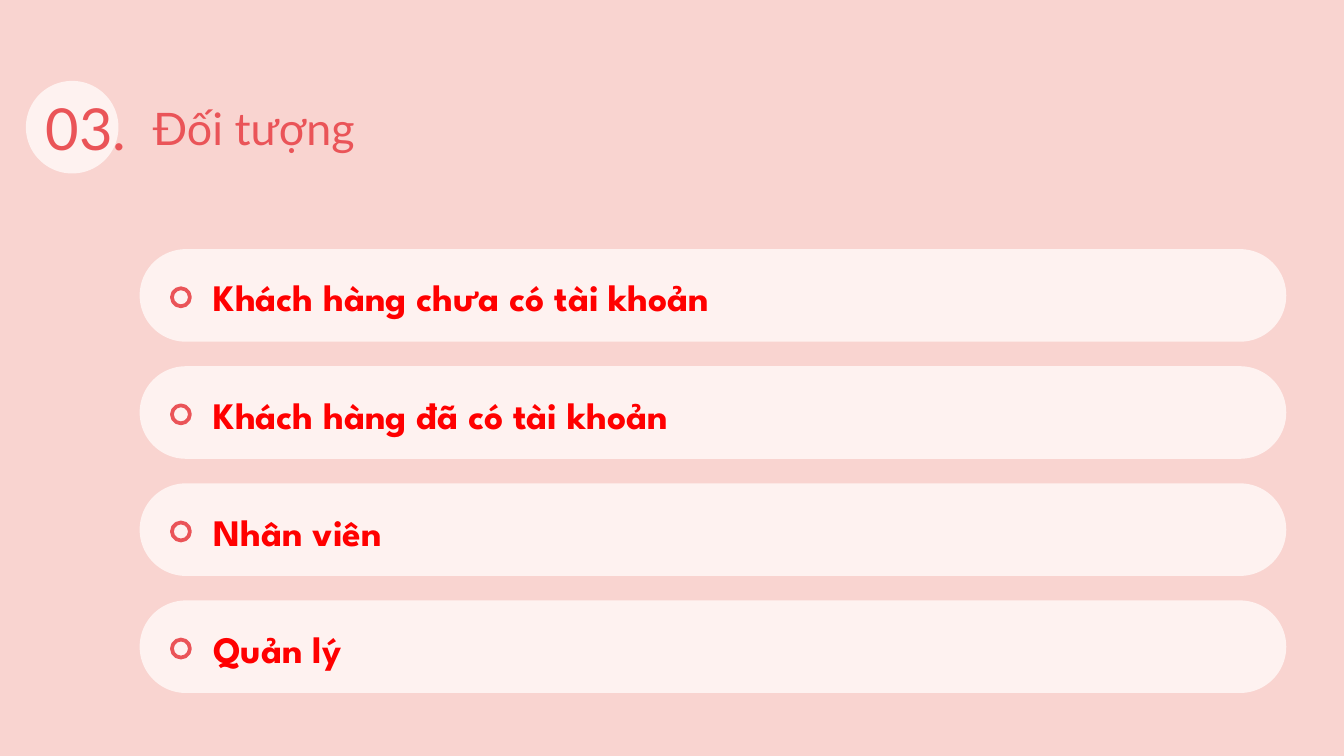
import pptx
import pptx.util
import pptx.dml.color
import pptx.enum.shapes
import pptx.enum.text

Cm = pptx.util.Cm
Pt = pptx.util.Pt
RGBColor = pptx.dml.color.RGBColor
Shape = pptx.enum.shapes.MSO_SHAPE
Align = pptx.enum.text.PP_ALIGN

CREAM = RGBColor(0xFE, 0xF2, 0xF0)
PINK = RGBColor(0xF9, 0xD4, 0xD0)
CORAL = RGBColor(0xEA, 0x54, 0x58)
RED = RGBColor(0xFF, 0x00, 0x00)

AUDIENCES = [
    "Khách hàng chưa có tài khoản",
    "Khách hàng đã có tài khoản",
    "Nhân viên",
    "Quản lý",
]


def add_filled(shapes, kind, left, top, width, height, color):
    shape = shapes.add_shape(kind, Cm(left), Cm(top), Cm(width), Cm(height))
    shape.shadow.inherit = False
    shape.fill.solid()
    shape.fill.fore_color.rgb = color
    shape.line.fill.background()
    return shape


def add_text(shapes, text, left, top, width, height, font, size, color,
             bold=False, align=Align.LEFT, inset=0.25):
    box = shapes.add_textbox(Cm(left), Cm(top), Cm(width), Cm(height))
    frame = box.text_frame
    frame.word_wrap = True
    frame.vertical_anchor = pptx.enum.text.MSO_ANCHOR.MIDDLE
    frame.margin_left = frame.margin_right = Cm(0.25)
    frame.margin_top = frame.margin_bottom = Cm(inset)
    para = frame.paragraphs[0]
    para.text = text
    para.alignment = align
    para.font.name = font
    para.font.size = Pt(size)
    para.font.bold = bold
    para.font.color.rgb = color


def add_heading(page, left, top, width, height, number, title):
    number_width = 2.64
    add_filled(page.shapes, Shape.OVAL, left + 0.49, top - 0.17, 1.75, 1.75, CREAM)
    add_text(page.shapes, title, left + number_width, top, width - number_width,
             height, "Lato", 24, CORAL)
    add_text(page.shapes, number, left, top, number_width, height,
             "Lato", 31, CORAL, align=Align.RIGHT)


def add_audience(page, left, top, width, height, label):
    shapes = page.shapes.add_group_shape().shapes
    pill = add_filled(shapes, Shape.ROUNDED_RECTANGLE, left, top, width, height, CREAM)
    pill.adjustments[0] = 0.5
    ring_size = 0.34
    ring = shapes.add_shape(Shape.OVAL, Cm(left + 0.61), Cm(top + 0.74),
                            Cm(ring_size), Cm(ring_size))
    ring.shadow.inherit = False
    ring.fill.background()
    ring.line.color.rgb = CORAL
    ring.line.width = Pt(2)
    add_text(shapes, label, left + 1.15, top + 0.35, 11.89, 1.11,
             "League Spartan", 20, RED, bold=True, inset=0.13)


def add_audience_list(page, left, top, width, height, labels):
    pill_height = 1.75
    pitch = (height - pill_height) / (len(labels) - 1)
    for index, label in enumerate(labels):
        add_audience(page, left, top + index * pitch, width, pill_height, label)


def main():
    deck = pptx.Presentation()
    deck.slide_width = Cm(25.4)
    deck.slide_height = Cm(14.29)
    page = deck.slides.add_slide(deck.slide_layouts[6])
    page.background.fill.solid()
    page.background.fill.fore_color.rgb = CREAM
    add_filled(page.shapes, Shape.RECTANGLE, -0.76, -0.18, 26.85, 15.32, PINK)
    add_heading(page, 0, 1.7, 11.84, 1.42, "03.", "Đối tượng")
    add_audience_list(page, 2.64, 4.71, 21.67, 8.39, AUDIENCES)
    deck.save("out.pptx")


if __name__ == "__main__":
    main()
